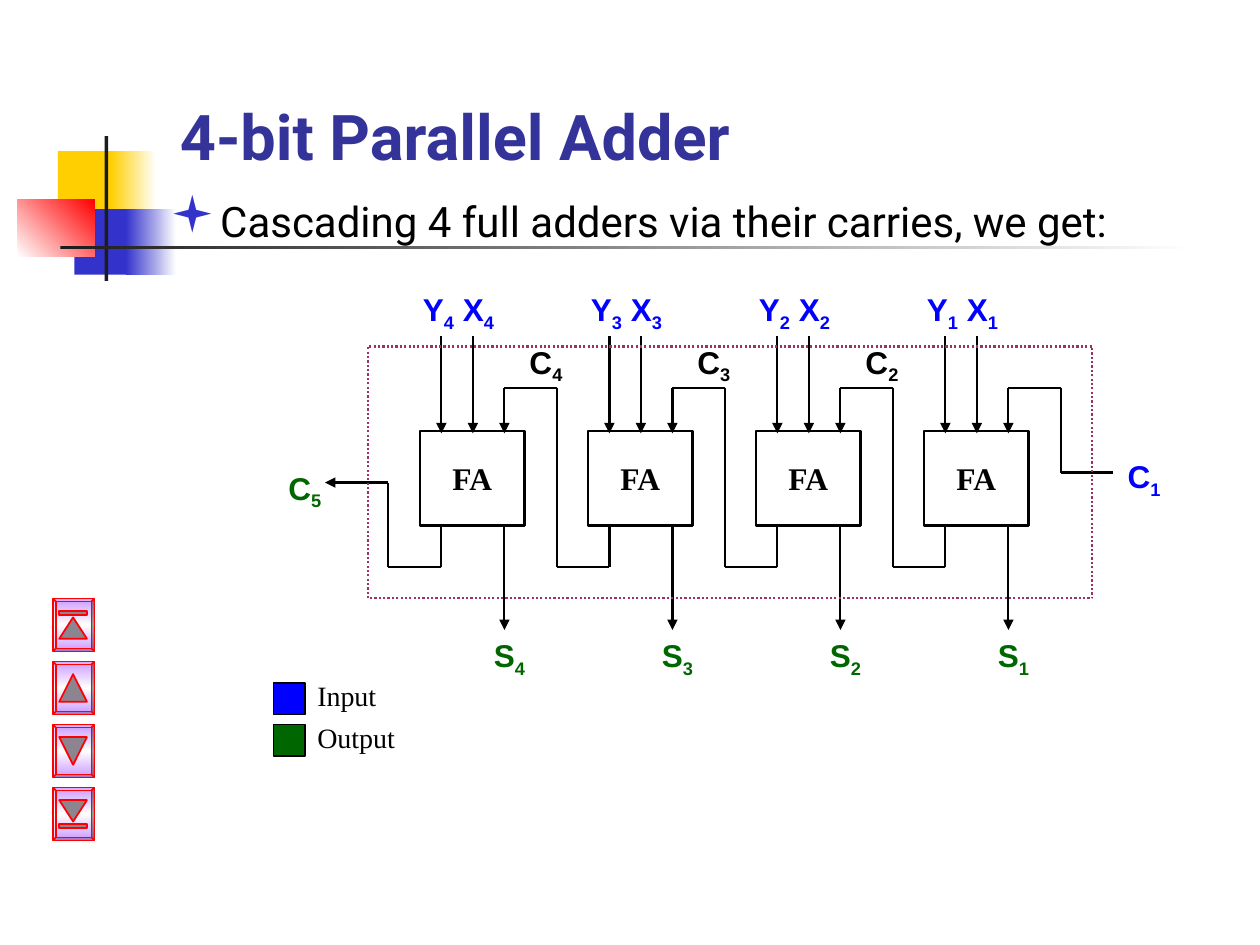
from lxml import etree
from copy import deepcopy
from itertools import pairwise
from pptx import Presentation
from pptx.dml.color import RGBColor as RGB
from pptx.enum.dml import MSO_LINE as Dash
from pptx.enum.shapes import MSO_CONNECTOR as Conn, MSO_SHAPE as Shape
from pptx.enum.text import MSO_ANCHOR as Anchor, PP_ALIGN as Align
from pptx.oxml.ns import qn
from pptx.util import Inches, Pt

COLORS = {
    "black": "000000", "white": "FFFFFF", "ink": "1C1C1C", "gold": "FFCF01",
    "blue": "3333CC", "red": "FF0000", "title": "333399", "input": "0000FF",
    "output": "006600", "frame": "993366", "lilac": "CC99FF", "grey": "8C8490",
}


def color(name):
    return RGB.from_string(COLORS[name])


class Board:
    """Holds the current slide and the style of its elements."""

    def __init__(self, slide):
        self.shapes = slide.shapes
        self.wire = 1.25

    def shape(self, box, fill=None, line=None, width=1, kind=Shape.RECTANGLE, angle=0):
        """Fill is a colour name, a tuple of gradient stops, or None."""
        item = self.shapes.add_shape(kind, *map(Inches, box))
        item.shadow.inherit = False
        if fill is None:
            item.fill.background()
        elif isinstance(fill, tuple):
            self.blend(item, fill, angle)
        else:
            item.fill.solid()
            item.fill.fore_color.rgb = color(fill)
        if line:
            item.line.color.rgb = color(line)
            item.line.width = Pt(width)
        else:
            item.line.fill.background()
        return item

    def blend(self, item, names, angle):
        """Spread the named colours evenly as a linear gradient."""
        item.fill.gradient()
        item.fill.gradient_angle = angle
        stops = item._element.spPr.find(".//" + qn("a:gsLst"))
        while len(stops) < len(names):
            stops.append(deepcopy(stops[-1]))
        for i, (stop, name) in enumerate(zip(item.fill.gradient_stops, names)):
            stop.color.rgb = color(name)
            stop.position = i / (len(names) - 1)

    def words(self, par, text, size, face, tint, bold=False):
        """Add text; a digit after an underscore becomes a subscript."""
        for i, part in enumerate(text.split("_")):
            if i:
                low = par.add_run()
                low.text = part[0]
                low._r.get_or_add_rPr().set("baseline", "-25000")
                part = part[1:]
            if part:
                par.add_run().text = part
        font = par.font
        font.size, font.name, font.bold = Pt(size), face, bold
        font.color.rgb = color(tint)

    def text(self, box, text, size, face, tint, bold=False, align=Align.LEFT,
             anchor=Anchor.TOP, bullet=False):
        frame = self.shapes.add_textbox(*map(Inches, box)).text_frame
        frame.word_wrap = True
        frame.vertical_anchor = anchor
        par = frame.paragraphs[0]
        par.alignment = align
        if bullet:
            self.bullet(par)
        self.words(par, text, size, face, tint, bold)

    def bullet(self, par):
        props = par._p.get_or_add_pPr()
        props.set("marL", str(Inches(0.38)))
        props.set("indent", str(-Inches(0.38)))
        tint = etree.SubElement(props, qn("a:buClr"))
        etree.SubElement(tint, qn("a:srgbClr"), val=COLORS["blue"])
        etree.SubElement(props, qn("a:buSzPct"), val="120000")
        etree.SubElement(props, qn("a:buFont"), typeface="Wingdings")
        etree.SubElement(props, qn("a:buChar"), char="▪")

    def label(self, left, top, width, text, tint):
        self.text((left, top, width, 0.44), text, 18, "Arial", tint, True, Align.CENTER)

    def route(self, *points):
        """Draw straight wires from point to point, with a head on the last."""
        for start, end in pairwise(points):
            wire = self.shapes.add_connector(
                Conn.STRAIGHT, *map(Inches, (*start, *end)))
            wire.line.color.rgb = color("black")
            wire.line.width = Pt(self.wire)
            etree.SubElement(wire._element.spPr, qn("a:effectLst"))
        line = wire._element.spPr.find(qn("a:ln"))
        etree.SubElement(line, qn("a:tailEnd"), type="triangle")

    def adder(self, left):
        box = self.shape((left, 3.42, 0.83, 0.75), line="black", width=1.5)
        frame = box.text_frame
        frame.vertical_anchor = Anchor.MIDDLE
        par = frame.paragraphs[0]
        par.alignment = Align.CENTER
        self.words(par, "FA", 18, "Times New Roman", "black", True)

    def button(self, top, mark, height, down=False, bar=None):
        """Draw a navigation button; mark and bar are offsets from its top."""
        face = self.shape((0.42, top, 0.33, 0.42), ("lilac", "white", "lilac"),
                          "red", kind=Shape.BEVEL, angle=90)
        face.adjustments[0] = 0.07
        tip = self.shape((0.47, top + mark, 0.22, height), "grey", "red",
                         kind=Shape.ISOSCELES_TRIANGLE)
        tip.rotation = 180 if down else 0
        if bar:
            self.shape((0.47, top + bar, 0.22, 0.03), "grey", "red")


def decor(board):
    for box, fill, angle in (
        ((0.46, 1.2, 0.48, 0.52), "gold", 0),
        ((0.88, 1.2, 0.36, 0.52), ("gold", "white"), 0),
        ((0.59, 1.66, 0.46, 0.52), "blue", 0),
        ((1, 1.66, 0.4, 0.52), ("blue", "white"), 0),
        ((0.14, 1.58, 0.61, 0.46), ("white", "red"), 45),
        ((0.83, 1.08, 0.03, 1.15), "ink", 0),
        ((0.48, 1.95, 9, 0.03), ("ink", "white"), 0),
    ):
        board.shape(box, fill, angle=angle)


def circuit(board):
    pitch, count = 4 / 3, 4
    top, base, low = 3.42, 4.17, 4.5
    for bit in range(1, count + 1):
        left = 10 / 3 + (count - bit) * pitch
        out, mid, carry = left + 0.17, left + 0.42, left + 0.67
        loop = carry + 0.42
        board.adder(left)
        board.label(left - 0.17, 2.25, 0.95, f"Y_{bit} X_{bit}", "input")
        board.label(mid, 5, 0.58, f"S_{bit}", "output")
        for x in (out, mid):
            board.route((x, 2.67), (x, top + 0.02))
        board.route((carry, base), (carry, 5))
        if bit == 1:
            source = [(loop + 0.41, 3.75), (loop, 3.75)]
            board.label(8.83, 3.58, 0.5, "C_1", "input")
        else:
            prior = out + pitch
            source = [(prior, base), (prior, low), (loop, low)]
            board.label(left + 0.75, 2.67, 0.5, f"C_{bit}", "black")
        board.route(*source, (loop, 3.08), (carry, 3.08), (carry, top + 0.02))
    board.route((out, base), (out, low), (3.08, low), (3.08, 3.83), (2.58, 3.83))
    board.label(2.17, 3.67, 0.5, "C_5", "output")
    frame = board.shape((2.92, 2.75, 5.75, 2), line="frame", width=1.25)
    frame.line.dash_style = Dash.ROUND_DOT


def main():
    deck = Presentation()
    deck.slide_width, deck.slide_height = Inches(10), Inches(7.5)
    board = Board(deck.slides.add_slide(deck.slide_layouts[6]))
    decor(board)
    board.text((1.33, 0.17, 8.5, 1.25), "4-bit Parallel Adder", 36, "Roboto",
               "title", True, anchor=Anchor.BOTTOM)
    board.text((1.25, 1.5, 8.5, 0.5), "Cascading 4 full adders via their carries, we get:",
               24, "Roboto", "black", bullet=True)
    circuit(board)
    for top, name, tint in ((5.42, "Input", "input"), (5.75, "Output", "output")):
        board.shape((2.17, top, 0.25, 0.25), tint, "black", 0.75)
        board.text((2.42, top - 0.08, 1, 0.37), name, 16, "Times New Roman", "black")
    board.button(4.75, 0.15, 0.17, bar=0.1)
    board.button(5.25, 0.1, 0.22)
    board.button(5.75, 0.1, 0.22, down=True)
    board.button(6.25, 0.1, 0.17, down=True, bar=0.29)
    deck.save("out.pptx")


if __name__ == "__main__":
    main()
